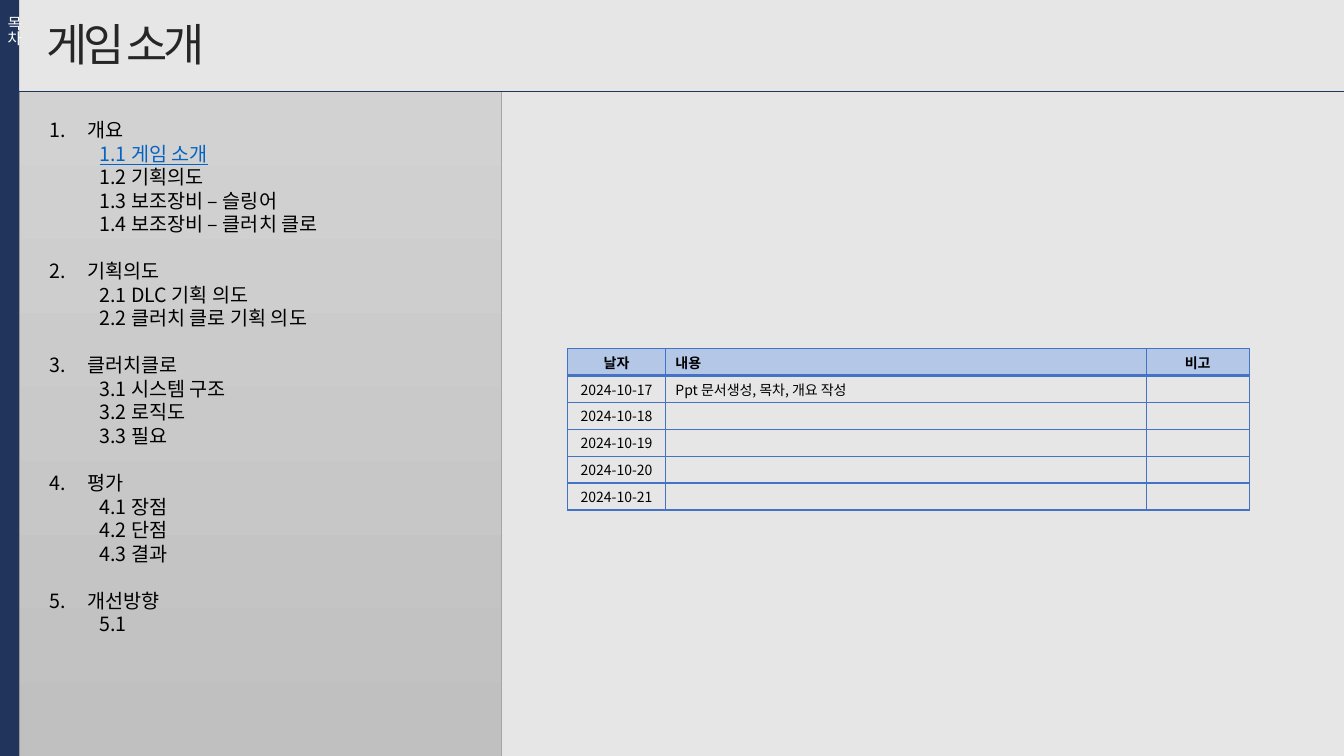
import pptx
import pptx.util
import pptx.dml.color
import pptx.enum.shapes
import pptx.enum.text
import pptx.oxml.ns
from lxml import etree

Inches = pptx.util.Inches
Pt = pptx.util.Pt
ALIGN = pptx.enum.text.PP_ALIGN

FONT = "Noto Sans CJK KR"
COLORS = {
    "background": "E7E6E6", "navy": "21345C", "title": "262626",
    "white": "FFFFFF", "black": "000000", "current": "0563C1",
    "panel_top": "D2D2D2", "panel_bottom": "C0C0C0", "panel_line": "A5A5A5",
    "table_line": "4472C4", "table_header": "B4C7E7",
}
TITLE = "게임 소개"
SIDE_LABEL = "목차"
CURRENT_ITEM = "1.1 게임 소개"
CONTENTS = [
    ("개요", [CURRENT_ITEM, "1.2 기획의도", "1.3 보조장비 – 슬링어",
             "1.4 보조장비 – 클러치 클로"]),
    ("기획의도", ["2.1 DLC 기획 의도", "2.2 클러치 클로 기획 의도"]),
    ("클러치클로", ["3.1 시스템 구조", "3.2 로직도", "3.3 필요"]),
    ("평가", ["4.1 장점", "4.2 단점", "4.3 결과"]),
    ("개선방향", ["5.1"]),
]
HISTORY = [
    ("날자", "내용", "비고"),
    ("2024-10-17", "Ppt 문서생성, 목차, 개요 작성", ""),
    ("2024-10-18", "", ""),
    ("2024-10-19", "", ""),
    ("2024-10-20", "", ""),
    ("2024-10-21", "", ""),
]
COLUMN_WIDTHS = [0.97, 4.77, 1.02]
COLUMN_ALIGNMENTS = [ALIGN.CENTER, ALIGN.LEFT, ALIGN.CENTER]
ROW_HEIGHT = 1.6 / len(HISTORY)
SLIDE_WIDTH, SLIDE_HEIGHT = 13.33, 7.5
SIDEBAR_WIDTH, HEADER_HEIGHT = 0.19, 0.91
LINE_PITCH = Pt(16.8)


def color(name):
    return pptx.dml.color.RGBColor.from_string(COLORS[name])


def add_element(parent, tag, **attributes):
    return etree.SubElement(parent, pptx.oxml.ns.qn(tag), attributes)


def add_text(paragraph, text, color_name, **font_values):
    run = paragraph.add_run()
    run.text = text
    for name, value in {"name": FONT, **font_values}.items():
        setattr(run.font, name, value)
    run.font.color.rgb = color(color_name)
    add_element(run.font._element, "a:ea", typeface=FONT)
    return run


def add_text_box(slide, box, wrap=True):
    frame = slide.shapes.add_textbox(*map(Inches, box)).text_frame
    frame.word_wrap = wrap
    return frame


def add_panel(slide, box):
    shape = slide.shapes.add_shape(
        pptx.enum.shapes.MSO_SHAPE.RECTANGLE, *map(Inches, box))
    shape.shadow.inherit = False
    return shape


def add_background(slide):
    slide.background.fill.solid()
    slide.background.fill.fore_color.rgb = color("background")

    contents_panel = add_panel(
        slide, (SIDEBAR_WIDTH, HEADER_HEIGHT, 4.78, SLIDE_HEIGHT - HEADER_HEIGHT))
    contents_panel.fill.gradient()
    contents_panel.fill.gradient_angle = 270
    for stop, name in zip(contents_panel.fill.gradient_stops,
                          ("panel_top", "panel_bottom")):
        stop.color.rgb = color(name)
    contents_panel.line.color.rgb = color("panel_line")
    contents_panel.line.width = Pt(0.5)

    header_rule = slide.shapes.add_connector(
        pptx.enum.shapes.MSO_CONNECTOR.STRAIGHT,
        *map(Inches, (SIDEBAR_WIDTH, HEADER_HEIGHT, SLIDE_WIDTH, HEADER_HEIGHT)))
    header_rule.line.color.rgb = color("navy")
    header_rule.line.width = Pt(0.5)
    add_element(header_rule._element.spPr, "a:effectLst")

    sidebar = add_panel(slide, (0, 0, SIDEBAR_WIDTH, SLIDE_HEIGHT))
    sidebar.fill.solid()
    sidebar.fill.fore_color.rgb = color("navy")
    sidebar.line.fill.background()


def add_headings(slide):
    title = add_text_box(slide, (0.36, 0.12, 2, 0.64), wrap=False)
    run = add_text(title.paragraphs[0], TITLE, "title", size=Pt(32))
    run.font._element.set("spc", "-300")

    label = add_text_box(slide, (-0.29, 0.06, 0.57, 2.02))
    label._txBody.bodyPr.set("vert", "eaVert")
    add_text(label.paragraphs[0], SIDE_LABEL, "white", size=Pt(11))


def add_contents(slide):
    frame = add_text_box(slide, (0.39, 1.12, 4.33, 5.28))
    for number, (section, items) in enumerate(CONTENTS, 1):
        heading = frame.paragraphs[0] if number == 1 else frame.add_paragraph()
        heading.line_spacing = LINE_PITCH
        heading.space_before = LINE_PITCH if number > 1 else Pt(0)
        properties = heading._p.get_or_add_pPr()
        properties.set("marL", str(Inches(0.38)))
        properties.set("indent", str(Inches(-0.38)))
        add_element(properties, "a:buFont", typeface=FONT)
        add_element(properties, "a:buAutoNum", type="arabicPeriod", startAt=str(number))
        add_text(heading, section, "black", size=Pt(14))
        for item in items:
            paragraph = frame.add_paragraph()
            paragraph.level = 1
            paragraph.line_spacing = LINE_PITCH
            properties = paragraph._p.get_or_add_pPr()
            properties.set("marL", str(Inches(0.5)))
            properties.set("indent", "0")
            is_current = item == CURRENT_ITEM
            add_text(paragraph, item, "current" if is_current else "black",
                     size=Pt(14), underline=is_current)


def set_borders(cell, row_index):
    widths = {"L": 1, "R": 1, "T": 2 if row_index == 1 else 1,
              "B": 2 if row_index == 0 else 1}
    for side, width in widths.items():
        line = add_element(cell._tc.get_or_add_tcPr(), f"a:ln{side}", w=str(Pt(width)))
        fill = add_element(line, "a:solidFill")
        add_element(fill, "a:srgbClr", val=COLORS["table_line"])


def add_history_table(slide):
    table = slide.shapes.add_table(
        len(HISTORY), len(COLUMN_WIDTHS), Inches(5.63), Inches(3.46),
        Inches(sum(COLUMN_WIDTHS)), Inches(1.6)).table
    table.first_row = table.horz_banding = False
    for column, width in zip(table.columns, COLUMN_WIDTHS):
        column.width = Inches(width)
    for row_index, values in enumerate(HISTORY):
        table.rows[row_index].height = Inches(ROW_HEIGHT)
        for column_index, text in enumerate(values):
            cell = table.cell(row_index, column_index)
            cell.margin_top = cell.margin_bottom = Inches(0.02)
            cell.vertical_anchor = pptx.enum.text.MSO_ANCHOR.MIDDLE
            set_borders(cell, row_index)
            if row_index == 0:
                cell.fill.solid()
                cell.fill.fore_color.rgb = color("table_header")
            else:
                cell.fill.background()
            paragraph = cell.text_frame.paragraphs[0]
            paragraph.alignment = COLUMN_ALIGNMENTS[column_index]
            if text:
                add_text(paragraph, text, "black", size=Pt(10), bold=row_index == 0)
            else:
                add_element(paragraph._p, "a:endParaRPr", sz="1000")


def main():
    presentation = pptx.Presentation()
    presentation.slide_width = Inches(SLIDE_WIDTH)
    presentation.slide_height = Inches(SLIDE_HEIGHT)
    slide = presentation.slides.add_slide(presentation.slide_layouts[6])
    add_background(slide)
    add_headings(slide)
    add_history_table(slide)
    add_contents(slide)
    presentation.save("out.pptx")


if __name__ == "__main__":
    main()
